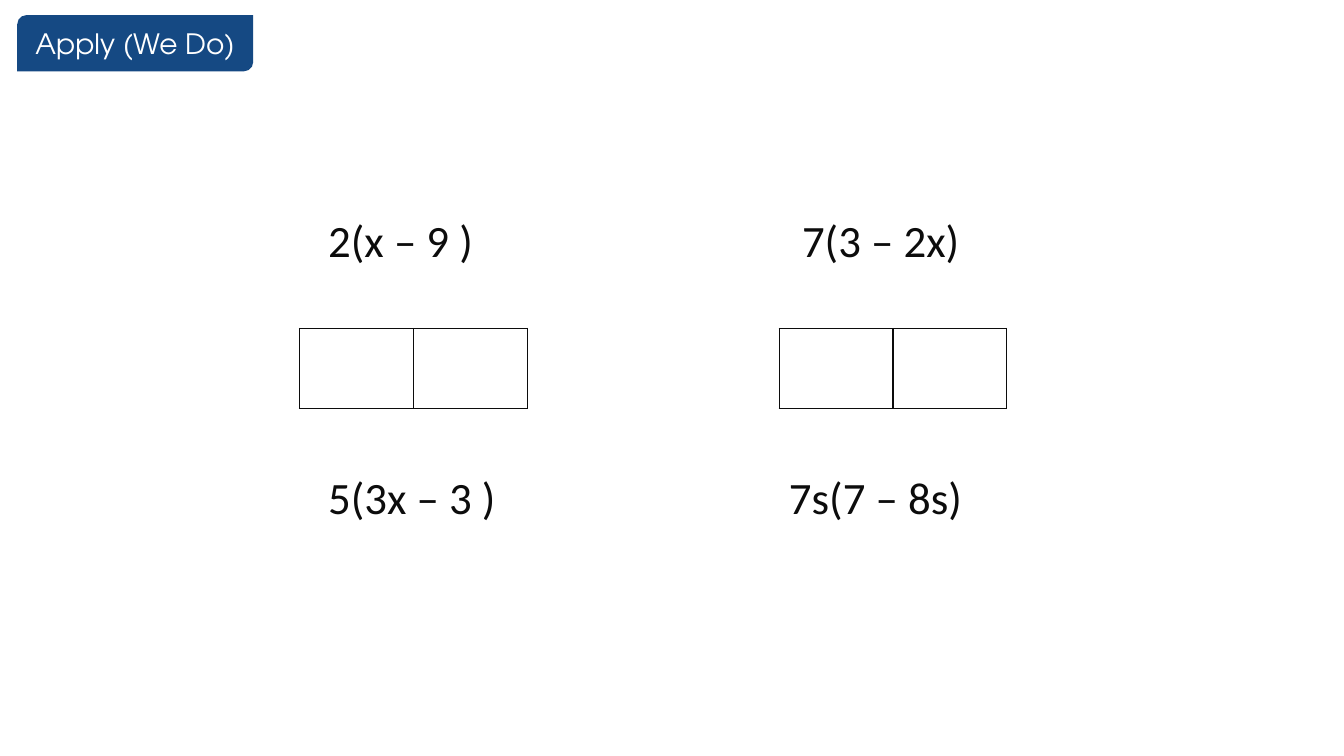
from dataclasses import dataclass

from lxml.etree import SubElement
from pptx import Presentation
from pptx.dml.color import RGBColor
from pptx.enum.shapes import MSO_SHAPE
from pptx.enum.text import MSO_ANCHOR, MSO_AUTO_SIZE, PP_ALIGN
from pptx.oxml.ns import qn
from pptx.slide import Slide
from pptx.table import _Cell
from pptx.text.text import _Paragraph
from pptx.util import Inches, Pt

COLOURS = {"tag": "154983", "tag_text": "FFFFFF", "ink": "0C0C0C"}
COLUMNS, ROWS = 32, 18
WIDTH, HEIGHT = Inches(13.333), Inches(7.5)


@dataclass
class Area:
    column: float
    row: float
    columns: float
    rows: float

    def place(self) -> tuple[int, int, int, int]:
        return (
            round(self.column * WIDTH / COLUMNS),
            round(self.row * HEIGHT / ROWS),
            round(self.columns * WIDTH / COLUMNS),
            round(self.rows * HEIGHT / ROWS),
        )


@dataclass
class Expression:
    text: str
    column: float
    row: float


TAG = Area(0.41, 0.36, 5.62, 1.34)
UPPER_ROW, LOWER_ROW = 4.94, 11.06
EXPRESSIONS = [
    Expression("2(x – 9 )", 7.58, UPPER_ROW),
    Expression("5(3x – 3 )", 7.58, LOWER_ROW),
    Expression("7(3 – 2x)", 18.86, UPPER_ROW),
    Expression("7s(7 – 8s)", 18.55, LOWER_ROW),
]
GRIDS = [Area(column, 7.82, 5.42, 1.9) for column in (7.13, 18.55)]


def colour(name: str) -> RGBColor:
    return RGBColor.from_string(COLOURS[name])


def write(para: _Paragraph, text: str, font: str, size: int, ink: str) -> None:
    para.text = text
    para.font.name = font
    para.font.size = Pt(size)
    para.font.color.rgb = colour(ink)


def draw_tag(page: Slide, area: Area, text: str) -> None:
    tag = page.shapes.add_shape(MSO_SHAPE.ROUND_2_DIAG_RECTANGLE, *area.place())
    tag.shadow.inherit = False
    tag.fill.solid()
    tag.fill.fore_color.rgb = colour("tag")
    tag.line.fill.background()
    tag.text_frame.vertical_anchor = MSO_ANCHOR.MIDDLE
    para = tag.text_frame.paragraphs[0]
    para.alignment = PP_ALIGN.CENTER
    write(para, text, "TeX Gyre Adventor", 20, "tag_text")


def draw_expression(page: Slide, expression: Expression) -> None:
    area = Area(expression.column, expression.row, 6.41, 1.54)
    box = page.shapes.add_textbox(*area.place())
    box.text_frame.word_wrap = True
    box.text_frame.auto_size = MSO_AUTO_SIZE.SHAPE_TO_FIT_TEXT
    write(box.text_frame.paragraphs[0], expression.text, "Calibri", 32, "ink")


def outline(cell: _Cell) -> None:
    properties = cell._tc.get_or_add_tcPr()
    for side in ("lnL", "lnR", "lnT", "lnB"):
        line = SubElement(properties, qn(f"a:{side}"), w=str(Pt(1)))
        fill = SubElement(line, qn("a:solidFill"))
        SubElement(fill, qn("a:srgbClr"), val=COLOURS["ink"])
    cell.fill.background()


def draw_grid(page: Slide, area: Area) -> None:
    table = page.shapes.add_table(1, 2, *area.place()).table
    table.first_row = False
    table.horz_banding = False
    for cell in table.iter_cells():
        outline(cell)


def main() -> None:
    deck = Presentation()
    deck.slide_width, deck.slide_height = WIDTH, HEIGHT
    page = deck.slides.add_slide(deck.slide_layouts[6])
    draw_tag(page, TAG, "Apply (We Do)")
    for expression in EXPRESSIONS:
        draw_expression(page, expression)
    for area in GRIDS:
        draw_grid(page, area)
    deck.save("out.pptx")


if __name__ == "__main__":
    main()
